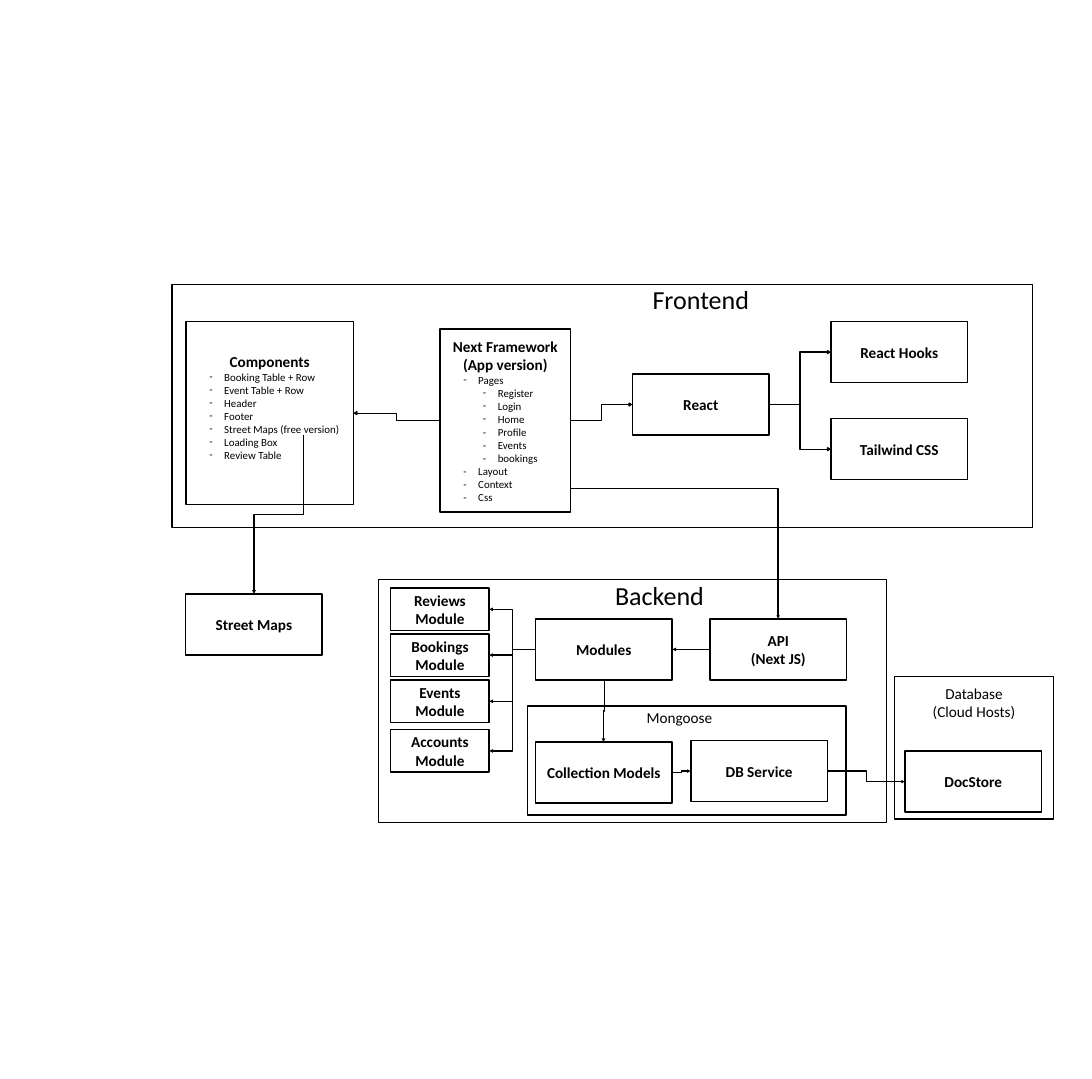
import pptx
import pptx.util
import pptx.dml.color
import pptx.enum.shapes
import pptx.enum.text
import pptx.oxml.ns
import lxml.etree

Inches = pptx.util.Inches
FONT = "Calibri"
BLACK = "000000"
WHITE = "FFFFFF"
NODE_SIZE = (3.49, 1.56)
MODULE_SIZE = (2.52, 1.09)

FRAMES = [
    (22.85, 17.29, 4.07, 3.64),
    (9.67, 14.81, 12.98, 6.21),
    (13.48, 18.04, 8.13, 2.8),
    (4.39, 7.27, 21.99, 6.21),
]
NODES = [
    (16.16, 9.56, ["React"]),
    (21.23, 8.22, ["React Hooks"]),
    (21.23, 10.7, ["Tailwind CSS"]),
    (18.14, 15.82, ["API", "(Next JS)"]),
    (13.68, 15.82, ["Modules"]),
    (13.68, 18.96, ["Collection Models"]),
    (17.65, 18.93, ["DB Service"]),
    (23.12, 19.2, ["DocStore"]),
    (4.74, 15.18, ["Street Maps"]),
]
MODULES = [
    (15.03, "Reviews Module"),
    (16.2, "Bookings Module"),
    (17.38, "Events Module"),
    (18.65, "Accounts Module"),
]
FRAMEWORK_ITEMS = [
    (1, "Pages"), (2, "Register"), (2, "Login"), (2, "Home"), (2, "Profile"),
    (2, "Events"), (2, "bookings"), (1, "Layout"), (1, "Context"), (1, "Css"),
]
COMPONENT_ITEMS = [(1, name) for name in (
    "Booking Table + Row", "Event Table + Row", "Header", "Footer",
    "Street Maps (free version)", "Loading Box", "Review Table",
)]
TITLES = [
    (16.56, 7.19, 2.69, 0.91, ["Frontend"], 47.9),
    (15.6, 14.75, 2.5, 0.91, ["Backend"], 47.9),
    (16.41, 18.06, 1.9, 0.57, ["Mongoose"], 28),
    (23.66, 17.43, 2.45, 1.04, ["Database", "(Cloud Hosts)"], 28),
]
FRAMEWORK_LINKS = [
    ((14.58, 10.75), (16.16, 10.34)),
    ((19.65, 10.34), (21.23, 9)),
    ((19.65, 10.34), (21.23, 11.48)),
    ((11.24, 10.75), (9.03, 10.56)),
]
DATA_LINKS = [
    ((18.14, 16.61), (17.18, 16.6)),
    ((17.18, 19.74), (17.65, 19.71)),
    ((21.14, 19.71), (23.12, 19.98)),
]
DOWNWARD_LINKS = [
    ((15.44, 17.38), (15.42, 18.97)),
    ((7.75, 11.12), (6.49, 15.18)),
]


def color(value):
    return pptx.dml.color.RGBColor.from_string(value)


def add_child(parent, tag, **attributes):
    return lxml.etree.SubElement(parent, pptx.oxml.ns.qn(tag), attributes)


def add_para(frame, text, size=28, bold=True, level=0):
    para = frame.paragraphs[0]
    if para.runs:
        para = frame.add_paragraph()
    span = para.add_run()
    span.text = text
    span.font.name = FONT
    span.font.size = pptx.util.Pt(size)
    span.font.bold = bold
    span.font.color.rgb = color(BLACK)
    para.alignment = pptx.enum.text.PP_ALIGN.CENTER
    if level:
        para.alignment = pptx.enum.text.PP_ALIGN.LEFT
        para.level = level
        properties = para._p.get_or_add_pPr()
        properties.set("marL", str(Inches(0.38 + 0.5 * level)))
        properties.set("indent", str(Inches(-0.38)))
        add_child(properties, "a:buFont", typeface=FONT)
        add_child(properties, "a:buChar", char="-")


def add_box(page, left, top, width, height, lines=(), items=()):
    box = page.shapes.add_shape(
        pptx.enum.shapes.MSO_SHAPE.RECTANGLE,
        Inches(left), Inches(top), Inches(width), Inches(height))
    box.shadow.inherit = False
    box.fill.solid()
    box.fill.fore_color.rgb = color(WHITE)
    box.line.color.rgb = color(BLACK)
    box.line.width = pptx.util.Pt(3)
    frame = box.text_frame
    frame.word_wrap = True
    frame.vertical_anchor = pptx.enum.text.MSO_ANCHOR.MIDDLE
    for line in lines:
        add_para(frame, line)
    for level, item in items:
        add_para(frame, item, size=20, bold=False, level=level)
    return box


def add_title(page, left, top, width, height, lines, size):
    box = page.shapes.add_textbox(
        Inches(left), Inches(top), Inches(width), Inches(height))
    box.text_frame.word_wrap = False
    for line in lines:
        add_para(box.text_frame, line, size=size, bold=False)


def add_link(page, start, end, head="triangle", downward=False, preset=None):
    if downward:
        middle_x, middle_y = (start[0] + end[0]) / 2, (start[1] + end[1]) / 2
        half_x, half_y = (end[0] - start[0]) / 2, (end[1] - start[1]) / 2
        start = (middle_x - half_y, middle_y + half_x)
        end = (middle_x + half_y, middle_y - half_x)
    link = page.shapes.add_connector(
        pptx.enum.shapes.MSO_CONNECTOR.ELBOW,
        Inches(start[0]), Inches(start[1]), Inches(end[0]), Inches(end[1]))
    link.line.color.rgb = color(BLACK)
    link.line.width = pptx.util.Pt(2.25)
    properties = link._element.spPr
    if downward:
        properties.find(pptx.oxml.ns.qn("a:xfrm")).set("rot", "5400000")
    if preset:
        properties.find(pptx.oxml.ns.qn("a:prstGeom")).set("prst", preset)
    add_child(link.line._get_or_add_ln(), "a:tailEnd", type=head)
    add_child(properties, "a:effectLst")


def main():
    deck = pptx.Presentation()
    deck.slide_width = Inches(27.9)
    deck.slide_height = Inches(27.58)
    page = deck.slides.add_slide(deck.slide_layouts[6])
    for frame in FRAMES:
        add_box(page, *frame)
    add_box(page, 11.24, 8.41, 3.34, 4.68,
            ["Next Framework", "(App version)"], FRAMEWORK_ITEMS)
    components = add_box(page, 4.75, 8.22, 4.28, 4.68, ["Components"], COMPONENT_ITEMS)
    components.text_frame.margin_bottom = Inches(0.38)
    for left, top, lines in NODES:
        add_box(page, left, top, *NODE_SIZE, lines)
    for top, name in MODULES:
        add_box(page, 9.98, top, *MODULE_SIZE, [name])
        add_link(page, (13.68, 16.6), (12.5, top + MODULE_SIZE[1] / 2))
    for start, end in FRAMEWORK_LINKS:
        add_link(page, start, end, head="arrow")
    for start, end in DATA_LINKS:
        add_link(page, start, end)
    for start, end in DOWNWARD_LINKS:
        add_link(page, start, end, downward=True)
    add_link(page, (14.58, 12.48), (19.88, 15.82), preset="bentConnector2")
    for title in TITLES:
        add_title(page, *title)
    deck.save("out.pptx")


if __name__ == "__main__":
    main()
